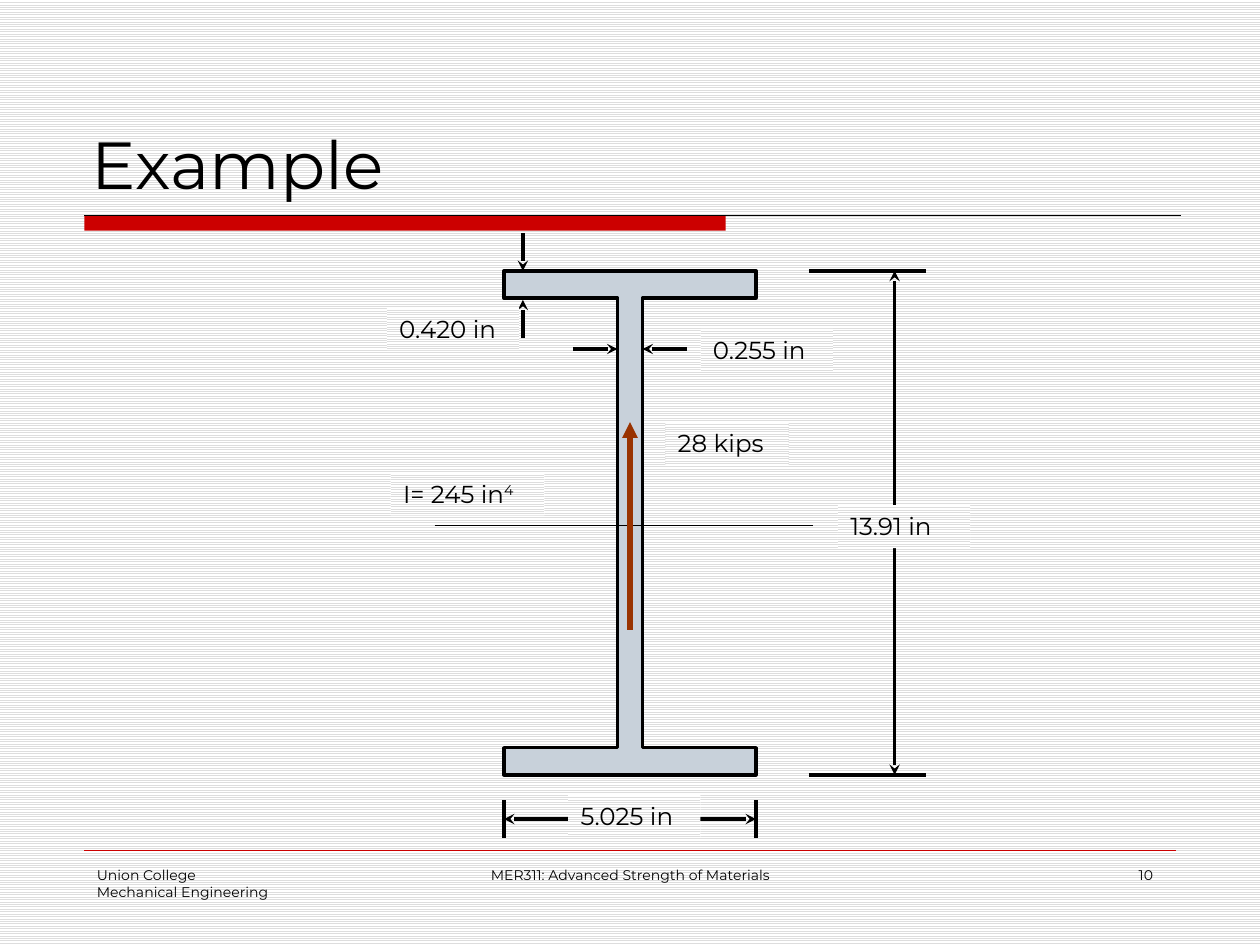
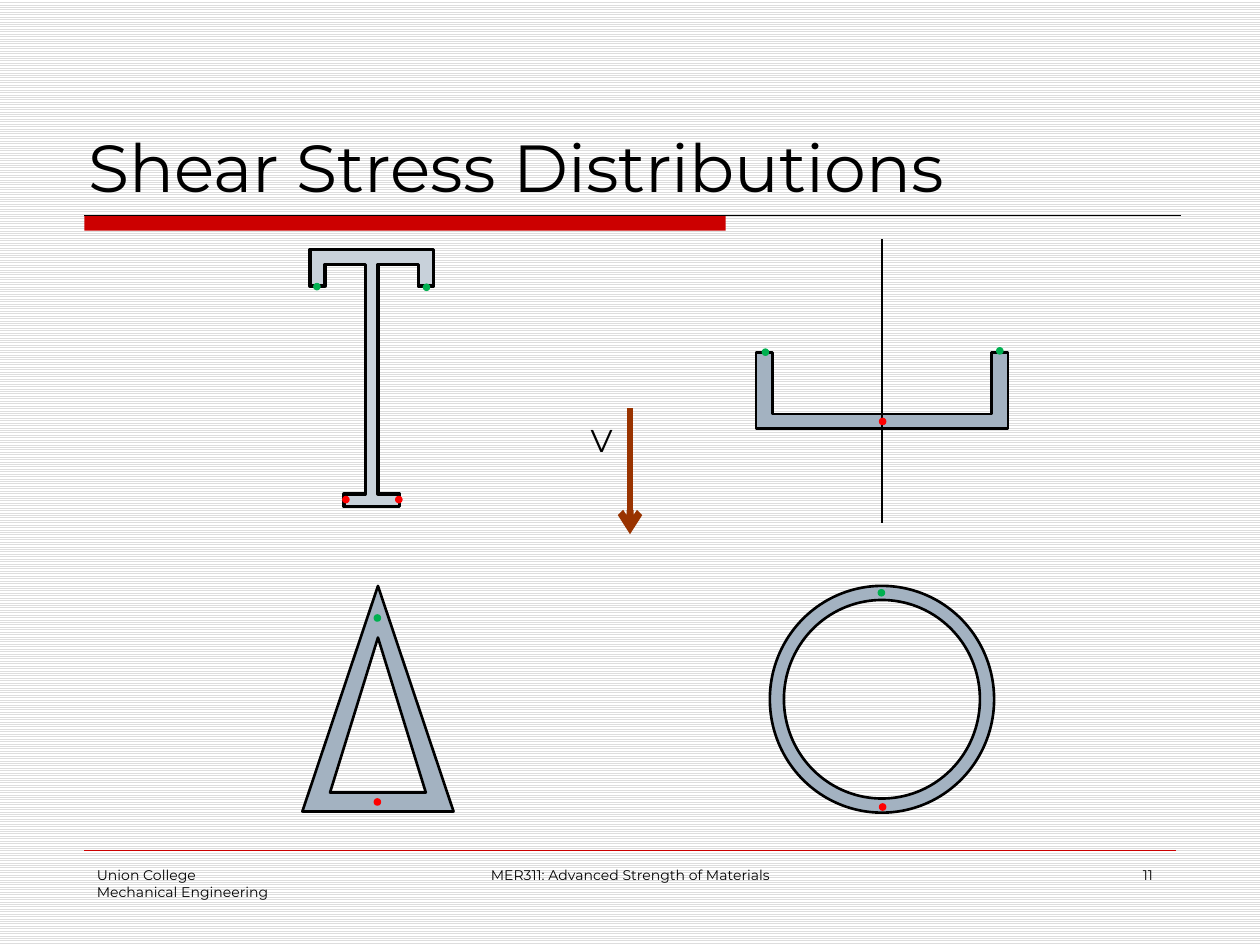
from lxml.etree import SubElement
from pptx import Presentation
from pptx.dml.color import RGBColor
from pptx.enum.dml import MSO_PATTERN
from pptx.enum.shapes import MSO_CONNECTOR, MSO_SHAPE
from pptx.enum.text import MSO_ANCHOR, MSO_AUTO_SIZE, PP_ALIGN
from pptx.oxml.ns import qn
from pptx.util import Inches, Pt

FONT = "Montserrat"
BLACK = RGBColor(0x00, 0x00, 0x00)
WHITE = RGBColor(0xFF, 0xFF, 0xFF)
STRIPE = RGBColor(0xDD, 0xDD, 0xDD)
BAND_RED = RGBColor(0xCC, 0x00, 0x00)
FORCE_BROWN = RGBColor(0x99, 0x33, 0x00)
LIGHT_STEEL = RGBColor(0xC8, 0xD1, 0xDA)
STEEL = RGBColor(0xA3, 0xB2, 0xC1)
GREEN = RGBColor(0x00, 0xB0, 0x50)
RED = RGBColor(0xFF, 0x00, 0x00)

SLIDE_WIDTH, SLIDE_HEIGHT = Inches(10), Inches(7.5)
COLUMNS = 100
CELL = SLIDE_WIDTH / COLUMNS
LABEL_HEIGHT = 3.4
DOT_SIZE = 0.5


def grid(*cells):
    return [round(cell * CELL) for cell in cells]


def fill_stripes(fill):
    fill.patterned()
    fill.pattern = MSO_PATTERN.LIGHT_HORIZONTAL
    fill.fore_color.rgb = STRIPE
    fill.back_color.rgb = WHITE


def paint(shape, fill_color, line_color, line_width):
    shape.shadow.inherit = False
    shape.fill.solid()
    shape.fill.fore_color.rgb = fill_color
    shape.line.color.rgb = line_color
    shape.line.width = Pt(line_width)


def format_text(text_frame, size, alignment=PP_ALIGN.LEFT, anchor=MSO_ANCHOR.TOP):
    text_frame.word_wrap = True
    text_frame.auto_size = MSO_AUTO_SIZE.NONE
    text_frame.vertical_anchor = anchor
    for paragraph in text_frame.paragraphs:
        paragraph.alignment = alignment
        for run in paragraph.runs:
            run.font.name = FONT
            run.font.size = Pt(size)
            run.font.color.rgb = BLACK


def add_text(slide, box, text, size, alignment=PP_ALIGN.LEFT):
    shape = slide.shapes.add_textbox(*grid(*box))
    shape.text_frame.text = text
    format_text(shape.text_frame, size, alignment)


def add_label(slide, left, top, width, text, superscript=""):
    shape = slide.shapes.add_shape(
        MSO_SHAPE.RECTANGLE, *grid(left, top, width, LABEL_HEIGHT))
    shape.shadow.inherit = False
    shape.line.fill.background()
    fill_stripes(shape.fill)
    shape.text_frame.text = text
    if superscript:
        run = shape.text_frame.paragraphs[0].add_run()
        run.text = superscript
        run._r.get_or_add_rPr().set("baseline", "30000")
    format_text(shape.text_frame, 14)


def add_line(slide, start, end, width=2, color=BLACK, head=None, tail=None):
    connector = slide.shapes.add_connector(
        MSO_CONNECTOR.STRAIGHT, *grid(*start, *end))
    connector.line.color.rgb = color
    connector.line.width = Pt(width)
    properties = connector._element.spPr
    outline = properties.find(qn("a:ln"))
    for tag, arrow in (("a:headEnd", head), ("a:tailEnd", tail)):
        if arrow:
            SubElement(outline, qn(tag)).set("type", arrow)
    SubElement(properties, qn("a:effectLst"))


def mirrored(axis, half_outline):
    right = [(axis + offset, row) for offset, row in half_outline]
    left = [(axis - offset, row) for offset, row in reversed(half_outline)]
    return right + left


def add_section(slide, axis, half_outlines, color, line_width):
    outlines = [[grid(*point) for point in mirrored(axis, half)]
                for half in half_outlines]
    builder = slide.shapes.build_freeform(*outlines[0][0])
    builder.add_line_segments(outlines[0][1:])
    for outline in outlines[1:]:
        builder.move_to(*outline[0])
        builder.add_line_segments(outline[1:])
    paint(builder.convert_to_shape(), color, BLACK, line_width)


def add_dots(slide, color, centers):
    for column, row in centers:
        dot = slide.shapes.add_shape(MSO_SHAPE.OVAL, *grid(
            column - DOT_SIZE / 2, row - DOT_SIZE / 2, DOT_SIZE, DOT_SIZE))
        paint(dot, color, color, 0.75)


def add_base_slide(presentation, title, title_left, title_top, number):
    slide = presentation.slides.add_slide(presentation.slide_layouts[5])
    band = slide.shapes.add_shape(
        MSO_SHAPE.RECTANGLE, *grid(6.7, 17.1, 50.9, 1.2))
    paint(band, BAND_RED, BAND_RED, 0.75)
    band.line.fill.background()
    add_line(slide, (6.7, 17.1), (93.7, 17.1), 0.75)
    add_line(slide, (6.7, 67.5), (93.3, 67.5), 0.25, BAND_RED)
    add_text(slide, (6.7, 68.3, 20.8, 5),
             "Union College\nMechanical Engineering", 8)
    add_text(slide, (34.2, 68.3, 31.7, 5),
             "MER311: Advanced Strength of Materials", 8, PP_ALIGN.CENTER)
    add_text(slide, (71.7, 68.3, 20.8, 5), str(number), 8, PP_ALIGN.RIGHT)
    heading = slide.shapes.title
    heading.left, heading.top, heading.width, heading.height = grid(
        title_left, title_top, 87.5, 13.3)
    heading.text_frame.text = title
    format_text(heading.text_frame, 38, anchor=MSO_ANCHOR.BOTTOM)
    return slide


def build_beam_slide(presentation):
    slide = add_base_slide(presentation, "Example", 6.3, 3.3, 10)
    axis, half_width, half_web = 50, 10, 1
    top, bottom, flange = 21.5, 61.5, 2.15
    left, right = axis - half_width, axis + half_width
    under_flange, over_flange = top + flange, bottom - flange
    add_section(slide, axis, [[
        (0, top), (half_width, top), (half_width, under_flange),
        (half_web, under_flange), (half_web, over_flange),
        (half_width, over_flange), (half_width, bottom), (0, bottom)]],
        LIGHT_STEEL, 2)

    add_line(slide, (left, 65), (right, 65), head="stealth", tail="stealth")
    for column in (left, right):
        add_line(slide, (column, 63.5), (column, 66.5))
    add_line(slide, (71, top), (71, bottom), head="stealth", tail="stealth")
    for row in (top, bottom):
        add_line(slide, (64.2, row), (73.5, row))
    add_line(slide, (34.5, 41.7), (64.5, 41.7), 1)

    for side, arrow_end in ((-1, "tail"), (1, "head")):
        columns = sorted((axis + side * half_web, axis + side * 4.5))
        add_line(slide, (columns[0], 27.7), (columns[1], 27.7),
                 **{arrow_end: "stealth"})
    add_line(slide, (41.5, top - 3), (41.5, top), tail="stealth")
    add_line(slide, (41.5, 23.8), (41.5, 26.8), head="stealth")

    add_label(slide, 66.5, 40.1, 10.5, "13.91 in")
    add_label(slide, 45.1, 63.1, 10.5, "5.025 in")
    add_label(slide, 55.6, 26.1, 10.5, "0.255 in")
    add_label(slide, 30.7, 24.4, 10.5, "0.420 in")
    add_label(slide, 31, 37.5, 12.2, "I= 245 in", "4")
    add_line(slide, (axis, 33.5), (axis, 50), 3, FORCE_BROWN, head="triangle")
    add_label(slide, 52.8, 33.5, 9.8, "28 kips")


def build_shear_slide(presentation):
    slide = add_base_slide(presentation, "Shear Stress Distributions", 6, 3.5, 11)
    lipped_beam = [(0, 19.8), (4.9, 19.8), (4.9, 22.7), (3.7, 22.7),
                   (3.7, 21), (0.5, 21), (0.5, 39.2), (2.2, 39.2),
                   (2.2, 40.2), (0, 40.2)]
    triangle = [(0, 46.5), (6, 64.4)]
    triangle_hole = [(0, 50.6), (3.8, 62.9)]
    channel = [(0, 34), (10, 34), (10, 28), (8.7, 28), (8.7, 32.85), (0, 32.85)]

    add_section(slide, 29.5, [lipped_beam], LIGHT_STEEL, 2)
    ring = slide.shapes.add_shape(MSO_SHAPE.DONUT, *grid(61.1, 46.5, 17.8, 18))
    ring.adjustments[0] = 0.063
    paint(ring, STEEL, BLACK, 1.5)
    add_section(slide, 30, [triangle, triangle_hole], STEEL, 1.5)
    add_section(slide, 70, [channel], STEEL, 1.5)
    add_line(slide, (70, 19), (70, 41.5), 0.75)

    add_dots(slide, GREEN, [(25.15, 22.75), (33.85, 22.8), (60.75, 27.95),
                            (79.35, 27.85), (29.95, 49.05), (69.95, 47.05)])
    add_dots(slide, RED, [(27.45, 39.65), (31.65, 39.65), (70.05, 33.45),
                          (29.95, 63.65), (70.05, 64.05)])

    add_line(slide, (50, 32.4), (50, 42.4), 4, FORCE_BROWN, tail="arrow")
    add_text(slide, (45.9, 32.9, 4, 4), "V", 18)


def main():
    presentation = Presentation()
    presentation.slide_width = SLIDE_WIDTH
    presentation.slide_height = SLIDE_HEIGHT
    fill_stripes(presentation.slide_master.background.fill)
    build_beam_slide(presentation)
    build_shear_slide(presentation)
    presentation.save("out.pptx")


if __name__ == "__main__":
    main()
